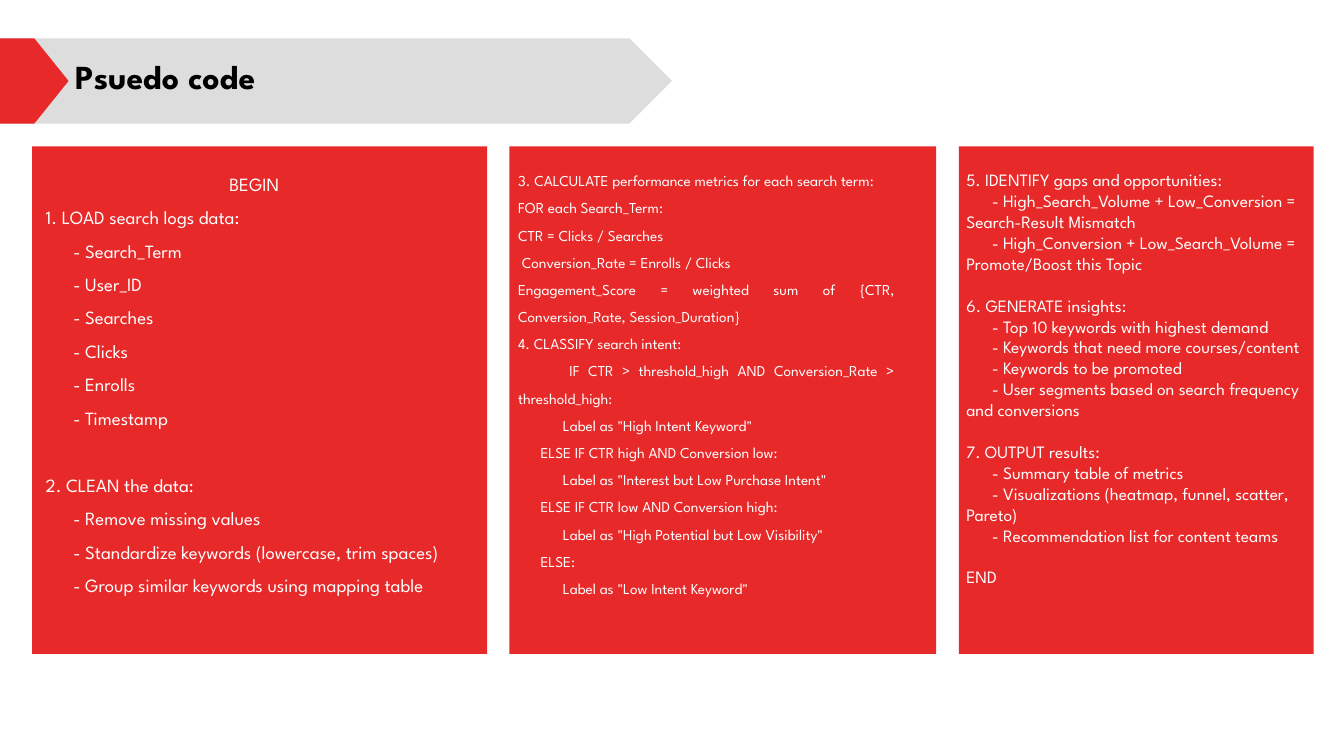
from dataclasses import dataclass

from pptx import Presentation
from pptx.dml.color import RGBColor
from pptx.enum.shapes import MSO_SHAPE
from pptx.enum.text import MSO_AUTO_SIZE, PP_ALIGN
from pptx.slide import Slide
from pptx.util import Emu, Pt

EMU_PER_PX = 9144
RECTANGLE = MSO_SHAPE.RECTANGLE
ARROW_TAG = MSO_SHAPE.PENTAGON
LEFT, CENTER, JUSTIFY = PP_ALIGN.LEFT, PP_ALIGN.CENTER, PP_ALIGN.JUSTIFY
GROW = MSO_AUTO_SIZE.SHAPE_TO_FIT_TEXT

FONT = "League Spartan"
COLORS = {"red": "E72929", "grey": "DDDDDD", "white": "FFFFFF", "black": "000000"}
PANEL_TOP, PANEL_HEIGHT = 218, 755
BANNER_TOP, BANNER_HEIGHT = 57, 127


@dataclass(frozen=True)
class Box:
    left: int
    top: int
    width: int
    height: int

    def emu(self) -> list[Emu]:
        return [Emu(px * EMU_PER_PX) for px in (self.left, self.top, self.width, self.height)]


@dataclass(frozen=True)
class TextBlock:
    box: Box
    size: float
    line_spacing: float
    sections: tuple[tuple[str, ...], ...]
    color: str = "white"
    bold: bool = False
    alignment: PP_ALIGN = LEFT
    first_alignment: PP_ALIGN = LEFT


@dataclass(frozen=True)
class Panel:
    left: int
    width: int
    text: TextBlock


TITLE = TextBlock(Box(112, 83, 697, 68), 36, 43.2, (("Psuedo code",),), "black", True)

PANELS = (
    Panel(48, 677, TextBlock(
        Box(68, 240, 621, 733), 20, 35.9,
        (
            (
                "BEGIN",
                "1. LOAD search logs data:",
                "      - Search_Term",
                "      - User_ID",
                "      - Searches",
                "      - Clicks",
                "      - Enrolls",
                "      - Timestamp",
            ),
            (
                "2. CLEAN the data:",
                "      - Remove missing values",
                "      - Standardize keywords (lowercase, trim spaces)",
                "      - Group similar keywords using mapping table",
            ),
        ),
        first_alignment=CENTER,
    )),
    Panel(758, 635, TextBlock(
        Box(771, 242, 560, 678), 16.2, 29.1,
        (
            (
                "3. CALCULATE performance metrics for each search term:",
                "FOR each Search_Term:",
                "CTR = Clicks / Searches",
                " Conversion_Rate = Enrolls / Clicks",
                "Engagement_Score = weighted sum of {CTR, Conversion_Rate, Session_Duration}",
                "4. CLASSIFY search intent:",
                "      IF CTR > threshold_high AND Conversion_Rate > threshold_high:",
                '            Label as "High Intent Keyword"',
                "      ELSE IF CTR high AND Conversion low:",
                '            Label as "Interest but Low Purchase Intent"',
                "      ELSE IF CTR low AND Conversion high:",
                '            Label as "High Potential but Low Visibility"',
                "      ELSE:",
                '            Label as "Low Intent Keyword"',
            ),
        ),
        alignment=JUSTIFY,
        first_alignment=JUSTIFY,
    )),
    Panel(1427, 528, TextBlock(
        Box(1438, 252, 505, 683), 18.6, 22.4,
        (
            (
                "5. IDENTIFY gaps and opportunities:",
                "      - High_Search_Volume + Low_Conversion = Search-Result Mismatch",
                "      - High_Conversion + Low_Search_Volume = Promote/Boost this Topic",
            ),
            (
                "6. GENERATE insights:",
                "      - Top 10 keywords with highest demand",
                "      - Keywords that need more courses/content",
                "      - Keywords to be promoted",
                "      - User segments based on search frequency and conversions",
            ),
            (
                "7. OUTPUT results:",
                "      - Summary table of metrics",
                "      - Visualizations (heatmap, funnel, scatter, Pareto)",
                "      - Recommendation list for content teams",
            ),
            ("END",),
        ),
    )),
)


def apply_format(target: object, values: dict[str, object]) -> None:
    for name, value in values.items():
        setattr(target, name, value)


def draw_shape(slide: Slide, kind: MSO_SHAPE, box: Box, color: str) -> None:
    shape = slide.shapes.add_shape(kind, *box.emu())
    shape.shadow.inherit = False
    shape.fill.solid()
    shape.fill.fore_color.rgb = RGBColor.from_string(COLORS[color])
    shape.line.fill.background()


def draw_text(slide: Slide, block: TextBlock) -> None:
    frame = slide.shapes.add_textbox(*block.box.emu()).text_frame
    apply_format(frame, {
        "word_wrap": True, "auto_size": GROW,
        "margin_left": 0, "margin_top": 0, "margin_right": 0, "margin_bottom": 0,
    })
    paragraph = frame.paragraphs[0]
    for section_index, section in enumerate(block.sections):
        for line_index, line in enumerate(section):
            is_first = section_index == line_index == 0
            if not is_first:
                paragraph = frame.add_paragraph()
            starts_section = line_index == 0 and not is_first
            apply_format(paragraph, {
                "alignment": block.first_alignment if is_first else block.alignment,
                "line_spacing": Pt(block.line_spacing),
                "space_before": Pt(block.line_spacing if starts_section else 0),
            })
            run = paragraph.add_run()
            run.text = line
            apply_format(run.font, {"name": FONT, "size": Pt(block.size), "bold": block.bold})
            run.font.color.rgb = RGBColor.from_string(COLORS[block.color])


def main() -> None:
    presentation = Presentation()
    presentation.slide_width = Emu(2000 * EMU_PER_PX)
    presentation.slide_height = Emu(1125 * EMU_PER_PX)
    slide = presentation.slides.add_slide(presentation.slide_layouts[6])

    for width, color in ((1000, "grey"), (102, "red")):
        draw_shape(slide, ARROW_TAG, Box(0, BANNER_TOP, width, BANNER_HEIGHT), color)
    draw_text(slide, TITLE)
    for panel in PANELS:
        draw_shape(slide, RECTANGLE, Box(panel.left, PANEL_TOP, panel.width, PANEL_HEIGHT), "red")
        draw_text(slide, panel.text)

    presentation.save("out.pptx")


if __name__ == "__main__":
    main()
